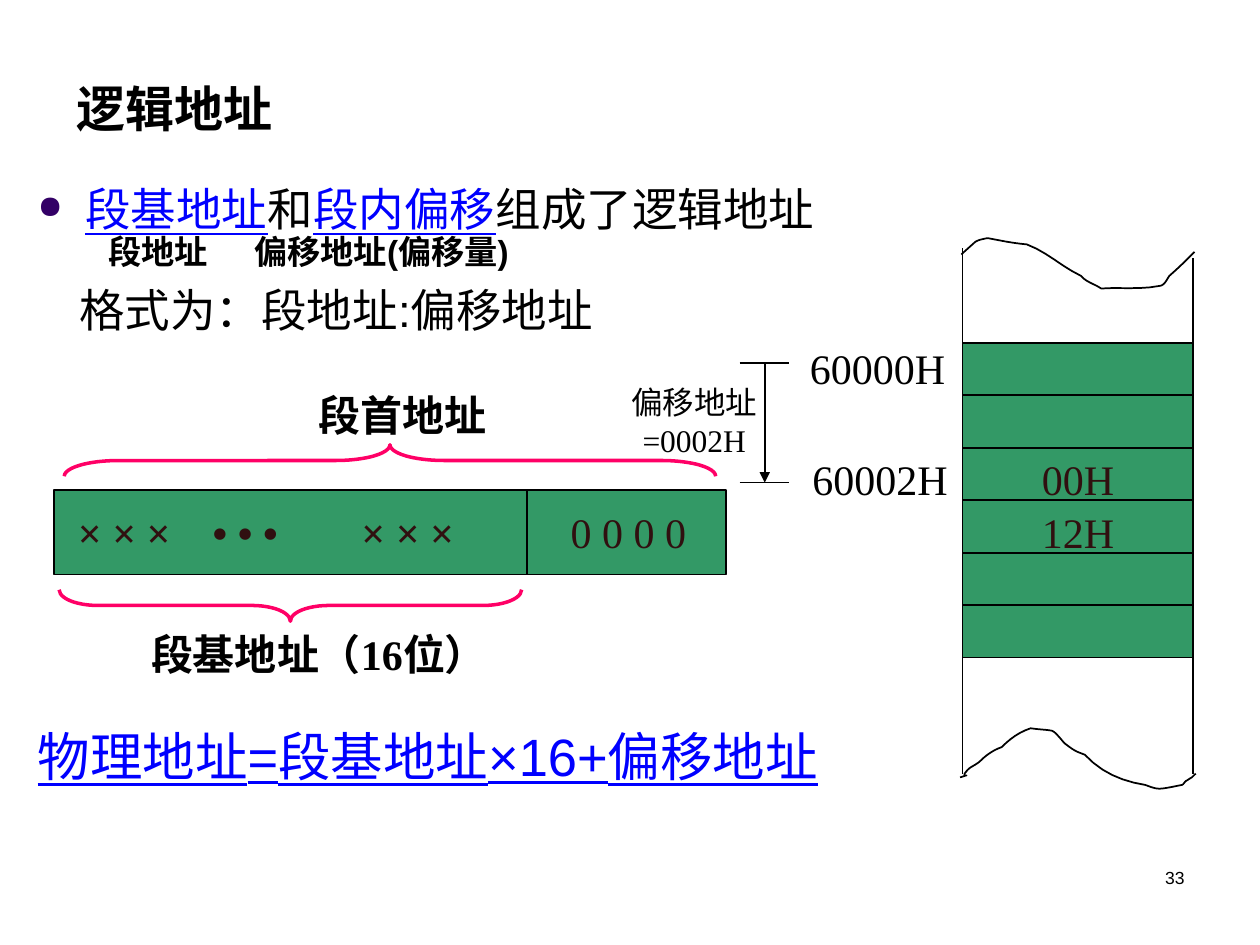
import pptx
import pptx.util
import pptx.dml.color
import pptx.enum.text
import pptx.enum.shapes
import pptx.oxml
import pptx.oxml.ns

Inches = pptx.util.Inches
Pt = pptx.util.Pt
RGB = pptx.dml.color.RGBColor
ALIGN = pptx.enum.text.PP_ALIGN
SHAPE = pptx.enum.shapes.MSO_SHAPE
BLACK = RGB(0x00, 0x00, 0x00)
BLUE = RGB(0x00, 0x00, 0xFF)
GREEN = RGB(0x33, 0x99, 0x66)
PINK = RGB(0xFF, 0x00, 0x66)
BROWN = RGB(0x30, 0x10, 0x10)
SANS = "Arial"
SERIF = "Times New Roman"
ROW = 5 / 12


def xml(tag, inner="", **attrs):
    """Make one drawing element."""
    names = "".join(f' {key}="{val}"' for key, val in attrs.items())
    space = pptx.oxml.ns.nsdecls("a")
    return pptx.oxml.parse_xml(f"<a:{tag} {space}{names}>{inner}</a:{tag}>")


def style(run, size, face, color=BLACK, bold=False, under=False):
    """Set the font of a run."""
    font = run.font
    font.size, font.name, font.bold, font.underline = Pt(size), face, bold, under
    font.color.rgb = color


def frame(slide, x, y, w, h):
    """Add a wrapping text box and return its frame."""
    text = slide.shapes.add_textbox(Inches(x), Inches(y), Inches(w), Inches(h)).text_frame
    text.word_wrap = True
    return text


def label(slide, x, y, w, h, words, size=24, face=SERIF, align=ALIGN.LEFT, **look):
    """Add a text box with one styled run."""
    text = frame(slide, x, y, w, h)
    text.text = words
    para = text.paragraphs[0]
    para.alignment = align
    style(para.runs[0], size, face, **look)
    return text


def line(slide, x1, y1, x2, y2, arrow=False):
    """Add a thin black line, with an arrowhead if asked."""
    link = slide.shapes.add_connector(
        pptx.enum.shapes.MSO_CONNECTOR.STRAIGHT,
        Inches(x1), Inches(y1), Inches(x2), Inches(y2))
    link.line.color.rgb = BLACK
    link.line.width = Pt(1)
    if arrow:
        link.line._get_or_add_ln().append(xml("tailEnd", type="triangle"))
    link._element.spPr.append(xml("effectLst"))


def rect(slide, x, y, w, h):
    """Add a green box with a black edge."""
    box = slide.shapes.add_shape(SHAPE.RECTANGLE, Inches(x), Inches(y), Inches(w), Inches(h))
    box.shadow.inherit = False
    box.fill.solid()
    box.fill.fore_color.rgb = GREEN
    box.line.color.rgb = BLACK
    box.line.width = Pt(1)


def brace(slide, x, y, w, h, turn, bend):
    """Add a flat brace that fills the box, turned up or down."""
    left, top = x + (w - h) / 2, y + (h - w) / 2
    mark = slide.shapes.add_shape(
        SHAPE.LEFT_BRACE, Inches(left), Inches(top), Inches(h), Inches(w))
    mark.rotation = turn
    mark.adjustments[0] = bend
    mark.shadow.inherit = False
    mark.fill.background()
    mark.line.color.rgb = PINK
    mark.line.width = Pt(2)


def curve(slide, x, y, points):
    """Draw a chain of cubic curves, with points relative to x and y."""
    spots = [points[0]]
    for i in range(0, len(points) - 1, 3):
        for t in (step / 6 for step in range(1, 7)):
            parts = ((1 - t) ** 3, 3 * t * (1 - t) ** 2, 3 * t * t * (1 - t), t ** 3)
            spots.append(tuple(
                sum(part * spot[k] for part, spot in zip(parts, points[i:i + 4]))
                for k in (0, 1)))
    spots = [(Inches(x + dx), Inches(y + dy)) for dx, dy in spots]
    path = slide.shapes.build_freeform(*spots[0])
    path.add_line_segments(spots[1:], close=False)
    edge = path.convert_to_shape()
    edge.shadow.inherit = False
    edge.fill.background()
    edge.line.color.rgb = BLACK
    edge.line.width = Pt(1)


def intro(slide, x, y, w, h):
    """Place the bullet, its note and the format line."""
    text = frame(slide, x, y, w, h)
    first = text.paragraphs[0]
    props = first._p.get_or_add_pPr()
    props.set("marL", str(Inches(0.38)))
    props.set("indent", str(-Inches(0.38)))
    props.append(xml("buClr", '<a:srgbClr val="330066"/>'))
    props.append(xml("buSzPct", val="70000"))
    props.append(xml("buChar", char="●"))
    for words, key in (("段基地址", True), ("和", False),
                       ("段内偏移", True), ("组成了逻辑地址", False)):
        run = first.add_run()
        run.text = words
        style(run, 26, SANS, BLUE if key else BLACK, under=key)

    note = text.add_paragraph()
    stops = "".join(f'<a:tab pos="{Inches(pos)}" algn="l"/>' for pos in (0.56, 1.72))
    note._p.get_or_add_pPr().append(xml("tabLst", stops))
    note.text = "\t段地址\t偏移地址(偏移量)"
    note.line_spacing = 0.8
    note.space_before = Pt(1.5)
    style(note.runs[0], 19, SANS, bold=True)

    form = text.add_paragraph()
    form._p.get_or_add_pPr().set("marL", str(Inches(0.33)))
    form.text = "格式为：段地址:偏移地址"
    form.space_before = Pt(6.5)
    style(form.runs[0], 26, SANS)


def memory(slide, x, y, w):
    """Place the torn memory column with its rows and addresses."""
    for i in range(6):
        rect(slide, x, y + i * ROW, w, ROW)
    line(slide, x, y - 0.75, x, y + 3.42)
    line(slide, x + w, y - 0.67, x + w, y + 3.42)
    curve(slide, x, y - 0.83, [
        (-0.01, 0.13), (0.01, 0.11), (0.09, 0.04), (0.1, 0.03), (0.13, 0.01),
        (0.2, 0), (0.2, 0), (0.3, 0.02), (0.4, 0.04), (0.51, 0.05),
        (0.67, 0.11), (0.79, 0.23), (0.94, 0.3), (0.98, 0.35), (1.04, 0.36),
        (1.1, 0.4), (1.25, 0.39), (1.41, 0.41), (1.56, 0.38), (1.6, 0.38),
        (1.62, 0.33), (1.64, 0.3), (1.71, 0.24), (1.77, 0.18), (1.84, 0.11)])
    curve(slide, x, y + 3.06, [
        (-0.02, 0.39), (0.1, 0.35), (-0.04, 0.41), (0.04, 0.33), (0.07, 0.3),
        (0.11, 0.29), (0.14, 0.26), (0.19, 0.21), (0.25, 0.17), (0.31, 0.15),
        (0.38, 0.08), (0.45, 0.03), (0.54, 0), (0.6, 0.01), (0.66, 0.01),
        (0.71, 0.02), (0.74, 0.03), (0.79, 0.1), (0.81, 0.12), (0.89, 0.18),
        (0.89, 0.18), (0.97, 0.21), (1.1, 0.35), (1.26, 0.42), (1.45, 0.45),
        (1.56, 0.49), (1.54, 0.49), (1.74, 0.45), (1.75, 0.45), (1.76, 0.43),
        (1.77, 0.42), (1.79, 0.41), (1.8, 0.4), (1.82, 0.39), (1.83, 0.38),
        (1.85, 0.36), (1.85, 0.36)])
    for row, words in ((2, "00H"), (3, "12H")):
        label(slide, x + 0.53, y + row * ROW, 0.92, 0.5, words, color=BROWN)
    label(slide, x - 1.31, y - 0.05, 1.33, 0.5, "60000H")
    label(slide, x - 1.29, y + 2 * ROW, 1.33, 0.5, "60002H")


def offset(slide, x, y, w, h):
    """Place the measured distance and its name."""
    for tick in (y, y + h):
        line(slide, x, tick, x + w, tick)
    line(slide, x + 0.2, y, x + 0.2, y + h, arrow=True)
    text = label(slide, x - 0.87, y + 0.16, 1.02, 0.6, "偏移地址=0002H", 18, align=ALIGN.CENTER)
    text.margin_left = text.margin_right = text.margin_top = text.margin_bottom = 0


def segment(slide, x, y, w, h):
    """Place the segment start bar with its braces and names."""
    rect(slide, x, y, w, h)
    line(slide, x + 3.75, y, x + 3.75, y + h)
    for dx, words in ((0.09, "× × ×"), (1.16, "• • •"), (2.34, "× × ×")):
        label(slide, x + dx, y + 0.08, 1.5, 0.5, words, color=BROWN, bold=True)
    label(slide, x + 4, y + 0.08, 1.25, 0.5, "0 0 0 0", color=BROWN)
    label(slide, x + 2, y - 0.85, 1.58, 0.5, "段首地址", bold=True)
    label(slide, x + 0.67, y + 1.05, 3.12, 0.5, "段基地址（16位）", bold=True)
    brace(slide, x + 0.08, y - 0.36, 5.17, 0.25, 90, 1.72)
    brace(slide, x + 0.04, y + 0.79, 3.67, 0.25, 270, 1.22)


def main():
    """Build the slide and save it."""
    deck = pptx.Presentation()
    deck.slide_width, deck.slide_height = Inches(10), Inches(7.5)
    slide = deck.slides.add_slide(deck.slide_layouts[6])
    title = label(slide, 0.51, 0.6, 8.5, 0.54, "逻辑地址", 28, SANS, bold=True)
    title.vertical_anchor = pptx.enum.text.MSO_ANCHOR.BOTTOM
    intro(slide, 0.2, 1.39, 9.45, 1.5)
    memory(slide, 7.64, 2.72, 1.83)
    segment(slide, 0.43, 3.89, 5.33, 0.67)
    offset(slide, 5.87, 2.88, 0.39, 0.95)
    label(slide, 0.2, 5.7, 7.2, 0.7, "物理地址=段基地址×16+偏移地址", 30, SANS, color=BLUE, under=True)
    label(slide, 7.17, 6.83, 2.33, 0.5, "33", 10, SANS, ALIGN.RIGHT)
    deck.save("out.pptx")


if __name__ == "__main__":
    main()
